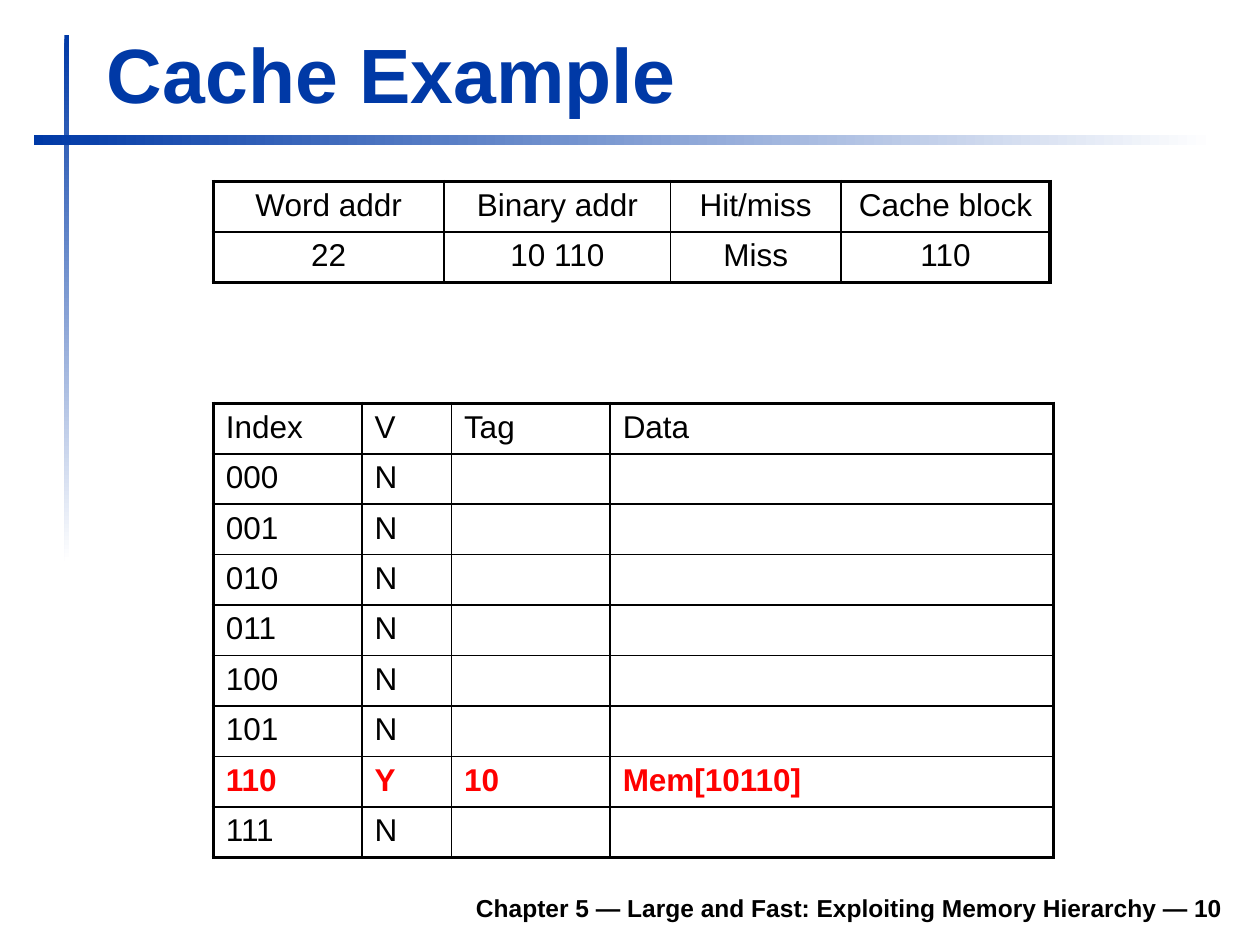
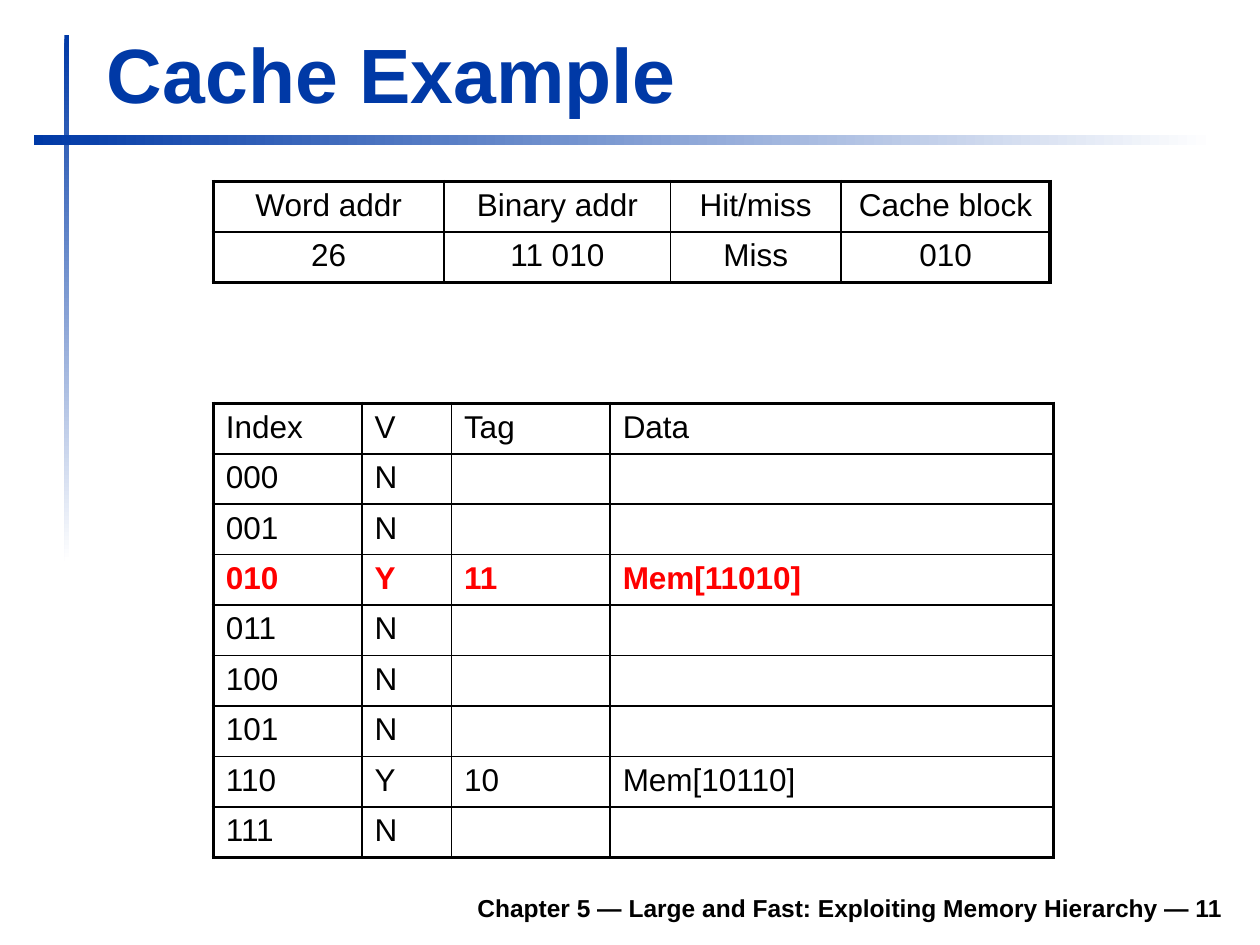
"""Build two slides that trace word accesses through a direct-mapped cache."""
from dataclasses import dataclass

from lxml import etree
from pptx import Presentation
from pptx.dml.color import RGBColor
from pptx.enum.shapes import MSO_SHAPE
from pptx.enum.text import MSO_ANCHOR, MSO_AUTO_SIZE, PP_ALIGN
from pptx.oxml.ns import qn
from pptx.util import Cm, Pt

RECTANGLE = MSO_SHAPE.RECTANGLE
BOTTOM = MSO_ANCHOR.BOTTOM
GROW = MSO_AUTO_SIZE.SHAPE_TO_FIT_TEXT
LEFT, CENTER, RIGHT = PP_ALIGN.LEFT, PP_ALIGN.CENTER, PP_ALIGN.RIGHT

TITLE = "Cache Example"
FOOTER = "Chapter 5 — Large and Fast: Exploiting Memory Hierarchy — {}"
FIRST_NUMBER = 10
ACCESS_HEADER = ("Word addr", "Binary addr", "Hit/miss", "Cache block")
CACHE_HEADER = ("Index", "V", "Tag", "Data")
INDEXES = ("000", "001", "010", "011", "100", "101", "110", "111")
ACCESSES = [
    {"word": "22", "tag": "10", "index": "110", "result": "Miss"},
    {"word": "26", "tag": "11", "index": "010", "result": "Miss"},
]

SLIDE_SIZE = (25.4, 19.05)
TITLE_BOX = (1.9, 0.4, 22.94, 2.12)
FOOTER_BOX = (4.7, 17.73, 20.2, 1)
BANDS = [((1.3, 0.71, 0.1, 10.6), 270), ((0.69, 2.72, 23.8, 0.2), 0)]
TABLE_LEFT = 4.3
ROW_HEIGHT = 1.016
ACCESS_TOP, ACCESS_COLUMNS = 3.66, (4.65, 4.57, 3.43, 4.22)
CACHE_TOP, CACHE_COLUMNS = 8.13, (3, 1.8, 3.2, 8.94)


@dataclass(frozen=True)
class Theme:
    font: str = "Arial"
    blue: RGBColor = RGBColor(0x00, 0x39, 0xA6)
    white: RGBColor = RGBColor(0xFF, 0xFF, 0xFF)
    black: RGBColor = RGBColor(0x00, 0x00, 0x00)
    red: RGBColor = RGBColor(0xFF, 0x00, 0x00)
    title: float = 44
    cell: float = 18
    footer: float = 14
    outer_line: float = 2.25
    header_line: float = 1.5
    inner_line: float = 1


THEME = Theme()


def lengths(values):
    return [Cm(value) for value in values]


def write(frame, text, size, color, bold=False, align=LEFT):
    frame.text = text
    paragraph = frame.paragraphs[0]
    paragraph.alignment = align
    font = paragraph.font if not paragraph.runs else paragraph.runs[0].font
    font.name, font.size, font.bold = THEME.font, Pt(size), bold
    font.color.rgb = color


def add_band(slide, box, angle):
    band = slide.shapes.add_shape(RECTANGLE, *lengths(box))
    band.shadow.inherit = False
    band.line.fill.background()
    band.fill.gradient()
    band.fill.gradient_angle = angle
    for stop, color in zip(band.fill.gradient_stops, (THEME.blue, THEME.white)):
        stop.color.rgb = color


def add_frame(slide, number):
    for box, angle in BANDS:
        add_band(slide, box, angle)

    title = slide.shapes.title
    title.left, title.top, title.width, title.height = lengths(TITLE_BOX)
    write(title.text_frame, TITLE, THEME.title, THEME.blue, bold=True)
    title.text_frame.vertical_anchor = BOTTOM
    title.text_frame.auto_size = GROW

    footer = slide.shapes.add_textbox(*lengths(FOOTER_BOX)).text_frame
    footer.word_wrap = True
    footer.vertical_anchor = BOTTOM
    write(footer, FOOTER.format(number), THEME.footer, THEME.black, True, RIGHT)


def set_borders(cell, widths):
    properties = cell._tc.get_or_add_tcPr()
    for position, (side, width) in enumerate(widths.items()):
        line = etree.Element(qn(f"a:ln{side}"), w=str(Pt(width)))
        fill = etree.SubElement(line, qn("a:solidFill"))
        etree.SubElement(fill, qn("a:srgbClr"), val=str(THEME.black))
        properties.insert(position, line)


def horizontal_line(edge, row_count):
    if edge in (0, row_count):
        return THEME.outer_line
    return THEME.header_line if edge == 1 else THEME.inner_line


def vertical_line(edge, column_count):
    return THEME.outer_line if edge in (0, column_count) else THEME.inner_line


def add_grid(slide, top, columns, rows, align, highlight=None):
    row_count, column_count = len(rows), len(columns)
    box = (TABLE_LEFT, top, sum(columns), ROW_HEIGHT * row_count)
    grid = slide.shapes.add_table(row_count, column_count, *lengths(box)).table
    grid.first_row = grid.horz_banding = False
    for column, width in zip(grid.columns, columns):
        column.width = Cm(width)
    for r, row in enumerate(rows):
        marked = row[0] == highlight
        color = THEME.red if marked else THEME.black
        for c, text in enumerate(row):
            cell = grid.cell(r, c)
            cell.fill.background()
            write(cell.text_frame, text, THEME.cell, color, marked, align)
            set_borders(cell, {
                "L": vertical_line(c, column_count),
                "R": vertical_line(c + 1, column_count),
                "T": horizontal_line(r, row_count),
                "B": horizontal_line(r + 1, row_count),
            })


def cache_row(index, tag):
    if tag is None:
        return index, "N", "", ""
    return index, "Y", tag, f"Mem[{tag}{index}]"


def main():
    deck = Presentation()
    deck.slide_width, deck.slide_height = lengths(SLIDE_SIZE)
    title_only = deck.slide_layouts[5]
    cached_tags = {}
    for number, access in enumerate(ACCESSES, FIRST_NUMBER):
        tag, index = access["tag"], access["index"]
        cached_tags[index] = tag
        slide = deck.slides.add_slide(title_only)
        add_frame(slide, number)
        cache_rows = [cache_row(i, cached_tags.get(i)) for i in INDEXES]
        add_grid(slide, CACHE_TOP, CACHE_COLUMNS, [CACHE_HEADER, *cache_rows],
                 LEFT, highlight=index)
        access_row = (access["word"], f"{tag} {index}", access["result"], index)
        add_grid(slide, ACCESS_TOP, ACCESS_COLUMNS, [ACCESS_HEADER, access_row],
                 CENTER)
    deck.save("out.pptx")


if __name__ == "__main__":
    main()
